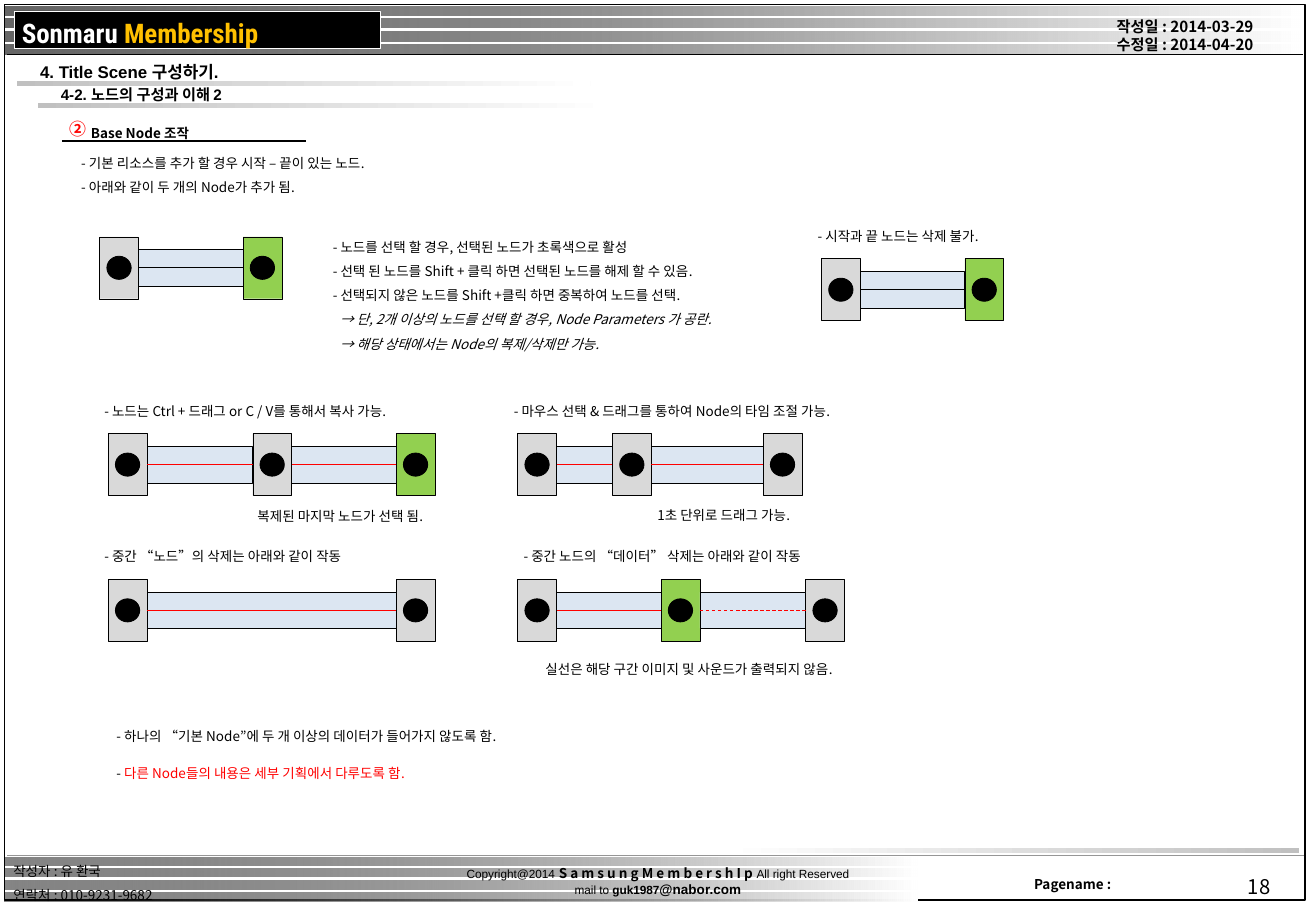
"""Build the slide on composing and editing base nodes."""
from lxml.etree import SubElement as Sub
from pptx import Presentation
from pptx.dml.color import RGBColor
from pptx.enum.dml import MSO_LINE as Dash
from pptx.enum.shapes import MSO_CONNECTOR as Conn, MSO_SHAPE as Kind
from pptx.enum.text import MSO_ANCHOR as Anchor, PP_ALIGN as Align
from pptx.oxml.ns import qn
from pptx.util import Inches, Pt

NOTO, ARIAL, ROBOTO = "Noto Sans CJK KR", "Arial", "Roboto Condensed"
BLACK, WHITE, RED, GOLD = "000000", "FFFFFF", "FF0000", "FFC000"
GREY, GREEN, BLUE, SILVER = "D9D9D9", "92D050", "DCE6F2", "C0C0C0"
NODE_W, NODE_H, DOT_W, DOT_H, LINK_H = 0.32, 0.51, 0.2, 0.19, 0.3
WIDE, SLIM, NONE = (0.11, 0.06), (0.1, 0.05), (0, 0)

BANDS = [(0.04, y, 7.51, 0.07, 48) for y in (7.06, 7.15, 7.25, 7.35)]
BANDS += [(0.04, y, 10.66, 0.08, 60) for y in (0.05, 0.15, 0.26, 0.37)]
RULES = [(0.06, 10.73, 7.04, "969696", 0.5), (0.06, 10.72, 0.45, BLACK, 0.5),
         (0.51, 2.52, 1.16, BLACK, 0.75)]
STRIPES = [(5.97, 6.98, WHITE, SILVER), (0.14, 0.67, SILVER, WHITE),
           (0.31, 0.85, SILVER, WHITE)]

HEADS = [
    ((8.4, 7.15, 0.93, 0.25), WIDE, Align.LEFT, 1,
     [[("Pagename :", 8, NOTO, BLACK, True)]]),
    ((10.16, 7.14, 0.54, 0.32), WIDE, Align.LEFT, 1,
     [[("18", 12, NOTO, BLACK, False)]]),
    ((3.28, 7.12, 4.27, 0.33), NONE, Align.CENTER, 1,
     [[("Copyright@2014", 7, ARIAL, BLACK, False),
       (" ", 8, ARIAL, BLACK, False),
       ("S a m s u n g M e m b e r s h I p ", 8, NOTO, BLACK, True),
       ("All right Reserved", 7, ARIAL, BLACK, False)],
      [("mail to ", 7, ARIAL, BLACK, False),
       ("guk1987", 7, ARIAL, BLACK, True),
       ("@nabor.com", 8, ARIAL, BLACK, True)]]),
    ((0.18, 0.14, 2.87, 0.27), NONE, Align.LEFT, 1,
     [[("Sonmaru ", 16, ROBOTO, WHITE, True),
       ("Membership", 16, ROBOTO, GOLD, True)]]),
    ((0, 6.98, 1.57, 0.52), WIDE, Align.LEFT, 1.5,
     [[("작성자 : 유 환국", 8, NOTO, BLACK, False)],
      [("연락처 : 010-9231-9682", 8, NOTO, BLACK, False)]]),
    ((9.08, 0.08, 1.62, 0.42), WIDE, Align.LEFT, 1,
     [[("작성일 : 2014-03-29", 9, NOTO, BLACK, True)],
      [("수정일 : 2014-04-20", 9, NOTO, BLACK, True)]]),
    ((0.22, 0.45, 2.52, 0.28), WIDE, Align.LEFT, 1,
     [[("4. Title Scene 구성하기.", 10, ARIAL, BLACK, True)]]),
    ((0.39, 0.64, 2.52, 0.27), WIDE, Align.LEFT, 1,
     [[("4-2. 노드의 구성과 이해 2", 9, ARIAL, BLACK, True)]]),
    ((0.47, 0.93, 0.32, 0.27), SLIM, Align.CENTER, 1,
     [[("②", 10, NOTO, RED, True)]]),
    ((0.65, 0.98, 1.87, 0.24), SLIM, Align.LEFT, 1,
     [[("Base Node 조작", 8, NOTO, BLACK, True)]]),
]

NOTES = [
    (0.57, 1.16, 3.11, Align.LEFT, ["- 기본 리소스를 추가 할 경우 시작 – 끝이 있는 노드.",
                                    "- 아래와 같이 두 개의 Node가 추가 됨."]),
    (2.64, 1.85, 3.71, Align.LEFT, ["- 노드를 선택 할 경우, 선택된 노드가 초록색으로 활성",
                                    "- 선택 된 노드를 Shift + 클릭 하면 선택된 노드를 해제 할 수 있음.",
                                    "- 선택되지 않은 노드를 Shift +클릭 하면 중복하여 노드를 선택.",
                                    "→ 단, 2개 이상의 노드를 선택 할 경우, Node Parameters 가 공란.",
                                    "→ 해당 상태에서는 Node의 복제/삭제만 가능."]),
    (6.63, 1.76, 3.11, Align.LEFT, ["- 시작과 끝 노드는 삭제 불가."]),
    (0.76, 3.2, 3.11, Align.LEFT, ["- 노드는 Ctrl + 드래그 or C / V를 통해서 복사 가능."]),
    (4.13, 3.2, 3.11, Align.LEFT, ["- 마우스 선택 & 드래그를 통하여 Node의 타임 조절 가능."]),
    (0.47, 4.07, 3.11, Align.RIGHT, ["복제된 마지막 노드가 선택 됨."]),
    (5.03, 4.06, 1.57, Align.RIGHT, ["1초 단위로 드래그 가능."]),
    (0.76, 4.4, 3.11, Align.LEFT, ["- 중간 “노드”의 삭제는 아래와 같이 작동"]),
    (4.21, 4.4, 3.11, Align.LEFT, ["- 중간 노드의 “데이터” 삭제는 아래와 같이 작동"]),
    (3.84, 5.33, 3.11, Align.RIGHT, ["실선은 해당 구간 이미지 및 사운드가 출력되지 않음."]),
    (0.86, 5.88, 4.64, Align.LEFT, ["- 하나의 “기본 Node”에 두 개 이상의 데이터가 들어가지 않도록 함."]),
]
LAST = [("- ", 8, NOTO, BLACK, False),
        ("다른 Node들의 내용은 세부 기획에서 다루도록 함.", 8, NOTO, RED, False)]

CHAINS = [
    (1.95, [(0.82, GREY), (2, GREEN)], BLACK, False),
    (2.13, [(6.76, GREY), (7.94, GREEN)], BLACK, False),
    (3.57, [(0.89, GREY), (2.08, GREY), (3.26, GREEN)], RED, False),
    (3.57, [(4.26, GREY), (5.04, GREY), (6.28, GREY)], RED, False),
    (4.77, [(0.89, GREY), (3.26, GREY)], RED, False),
    (4.77, [(4.26, GREY), (5.44, GREEN), (6.63, GREY)], RED, True),
]


def paint(color, tint):
    color.rgb = RGBColor.from_string(tint)


def block(home, kind, box, fill=None, edge=None, width=0.25):
    item = home.add_shape(kind, *map(Inches, box))
    item.shadow.inherit = False
    if fill:
        item.fill.solid()
        paint(item.fill.fore_color, fill)
    else:
        item.fill.background()
    if edge:
        paint(item.line.color, edge)
        item.line.width = Pt(width)
    else:
        item.line.fill.background()
    return item


def fade(home, box, start, end, alpha=100):
    item = block(home, Kind.RECTANGLE, box)
    item.fill.gradient()
    item.fill.gradient_angle = 0
    for stop, tint in zip(item.fill.gradient_stops, (start, end)):
        paint(stop.color, tint)
    if alpha < 100:
        first = next(item._element.iter(qn("a:gs")))
        Sub(first[0], qn("a:alpha"), val=str(alpha * 1000))


def rule(home, x1, x2, y, tint, width):
    line = home.add_connector(Conn.STRAIGHT, *map(Inches, (x1, y, x2, y)))
    paint(line.line.color, tint)
    line.line.width = Pt(width)
    Sub(line._element.spPr, qn("a:effectLst"))
    return line


def write(home, box, inset, align, space, paras):
    frame = home.add_textbox(*map(Inches, box)).text_frame
    frame.word_wrap = True
    frame.vertical_anchor = Anchor.TOP
    frame.margin_left = frame.margin_right = Inches(inset[0])
    frame.margin_top = frame.margin_bottom = Inches(inset[1])
    for i, runs in enumerate(paras):
        para = frame.add_paragraph() if i else frame.paragraphs[0]
        para.alignment, para.line_spacing = align, space
        for text, size, face, tint, bold in runs:
            run = para.add_run()
            run.text = text
            run.font.size, run.font.name, run.font.bold = Pt(size), face, bold
            paint(run.font.color, tint)
            Sub(run._r.get_or_add_rPr(), qn("a:ea"), typeface=NOTO)
            if text.startswith("→"):
                run.font.italic = True
                para._p.get_or_add_pPr().set("marL", str(Inches(0.06)))


def chain(home, top, nodes, tint, dashed):
    group = home.add_group_shape().shapes
    mid = top + NODE_H / 2
    rects = []
    for x, fill in nodes:
        rects.append(block(group, Kind.RECTANGLE, (x, top, NODE_W, NODE_H), fill, BLACK))
        dot = (x + (NODE_W - DOT_W) / 2, mid - DOT_H / 2, DOT_W, DOT_H)
        block(group, Kind.OVAL, dot, BLACK, BLACK, 0.5)
    for i in range(len(nodes) - 1):
        left, right = nodes[i][0] + NODE_W, nodes[i + 1][0]
        block(group, Kind.RECTANGLE, (left, mid - LINK_H / 2, right - left, LINK_H), BLUE, BLACK)
        line = rule(group, left, right, mid, tint, 0.5)
        line.begin_connect(rects[i], 3)
        line.end_connect(rects[i + 1], 1)
        if dashed and i == len(nodes) - 2:
            line.line.dash_style = Dash.DASH


def main():
    deck = Presentation()
    deck.slide_width, deck.slide_height = Inches(10.83), Inches(7.5)
    home = deck.slides.add_slide(deck.slide_layouts[6]).shapes
    block(home, Kind.RECTANGLE, (0.04, 0.04, 10.7, 7.37), None, BLACK, 0.75)
    for *box, alpha in BANDS:
        fade(home, box, BLACK, WHITE, alpha)
    for x, y, start, end in STRIPES:
        fade(home, (x, y, 4.72, 0.04), start, end)
    for spec in RULES:
        rule(home, *spec)
    block(home, Kind.RECTANGLE, (0.12, 0.09, 3.01, 0.31), BLACK, WHITE)
    for head in HEADS:
        write(home, *head)
    for x, y, width, align, lines in NOTES:
        paras = [[(line, 8, NOTO, BLACK, False)] for line in lines]
        write(home, (x, y, width, 0.1 + 0.2 * len(lines)), SLIM, align, 1.5, paras)
    write(home, (0.86, 6.18, 4.64, 0.3), SLIM, Align.LEFT, 1.5, [LAST])
    for row in CHAINS:
        chain(home, *row)
    deck.save("out.pptx")


if __name__ == "__main__":
    main()
